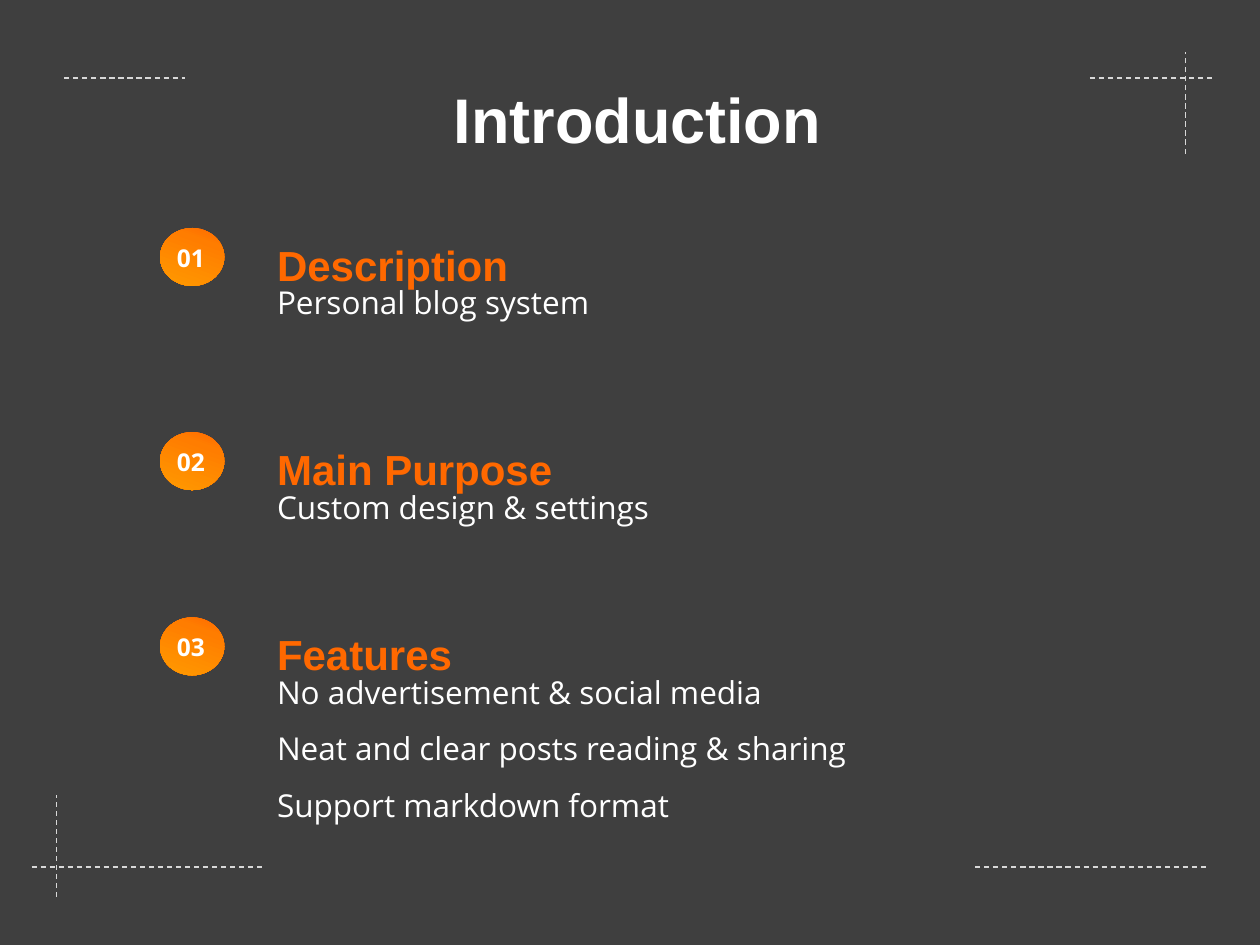
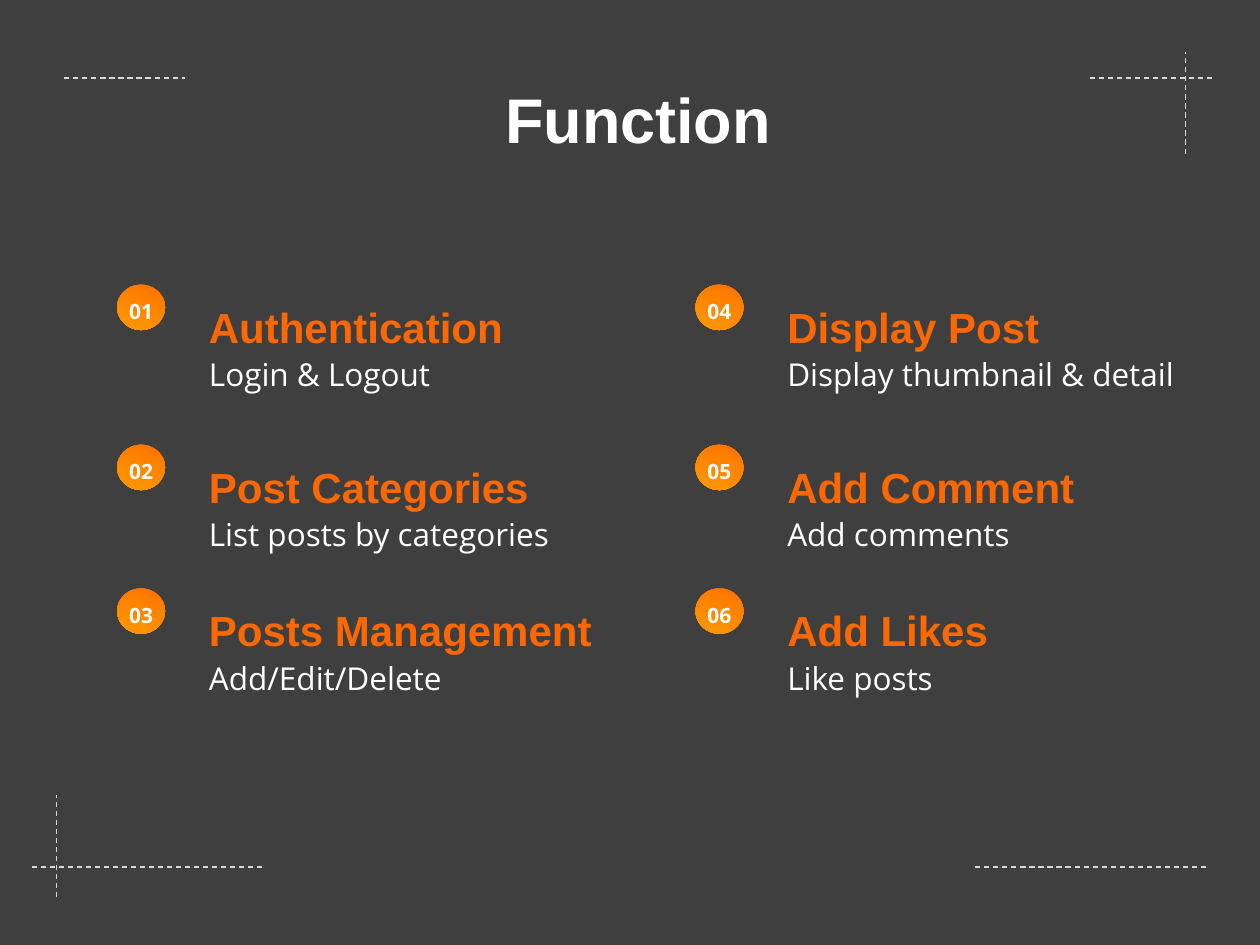
from copy import deepcopy
from dataclasses import dataclass

from lxml import etree
from pptx import Presentation
from pptx.dml.color import RGBColor
from pptx.enum.dml import MSO_LINE
from pptx.enum.shapes import MSO_CONNECTOR, MSO_SHAPE
from pptx.enum.text import MSO_ANCHOR, PP_ALIGN
from pptx.oxml.ns import qn
from pptx.util import Inches, Pt

STRAIGHT = MSO_CONNECTOR.STRAIGHT
OVAL = MSO_SHAPE.OVAL
DASH = MSO_LINE.DASH
LEFT, CENTER = PP_ALIGN.LEFT, PP_ALIGN.CENTER
TOP, MIDDLE = MSO_ANCHOR.TOP, MSO_ANCHOR.MIDDLE


@dataclass(frozen=True)
class Theme:
    """Colours, fonts and type sizes shared by all slides."""
    background: str = "3F3F3F"
    text: str = "FFFFFF"
    accent: str = "FF6800"
    guide: str = "D8D8D8"
    badge_stops: tuple = ((0, "FF6800"), (0.25, "FF7D00"), (1, "FF9A00"))
    badge_angle: int = 110
    heading_font: str = "Arial"
    body_font: str = "Open Sans"
    title_size: int = 36
    heading_size: int = 24
    body_size: int = 18
    guide_width: float = 0.75


@dataclass(frozen=True)
class ItemStyle:
    """Sizes and offsets of an item, measured from its badge corner."""
    badge: tuple
    number_offset: tuple
    number_box: tuple
    number_size: int
    text_left: float
    heading_top: float
    heading_height: float
    body_top: float


THEME = Theme()
LARGE_ITEM = ItemStyle((0.51, 0.46), (-0.02, 0.07), (0.53, 0.34), 14,
                       0.83, -0.16, 0.55, 0.24)
SMALL_ITEM = ItemStyle((0.38, 0.36), (-0.01, 0.06), (0.4, 0.27), 12,
                       0.63, -0.12, 0.43, 0.36)

GUIDES = (
    (0.25, 6.88, 2.08, 6.88),
    (0.45, 7.12, 0.45, 6.31),
    (8.65, 0.62, 9.62, 0.62),
    (9.41, 1.22, 9.41, 0.41),
    (7.74, 6.88, 9.57, 6.88),
    (0.51, 0.62, 1.47, 0.62),
)

INTRODUCTION_LEFT = 1.27
INTRODUCTION_WIDTHS = (5.05, 5.92)
INTRODUCTION_ITEMS = (
    (1.81, 0.75, "Description", ("Personal blog system",)),
    (3.43, 0.75, "Main Purpose", ("Custom design & settings",)),
    (4.9, 1.29, "Features", ("No advertisement & social media",
                             "Neat and clear posts reading & sharing",
                             "Support markdown format")),
)

FUNCTION_COLUMNS = (0.93, 5.52)
FUNCTION_ROWS = (2.26, 3.53, 4.67)
FUNCTION_BODY_HEIGHT = 0.59
FUNCTION_ITEMS = (
    ("Authentication", 2.76, "Login & Logout", 2.92),
    ("Post Categories", 3.36, "List posts by categories", 3.23),
    ("Posts Management", 4.92, "Add/Edit/Delete", 2.39),
    ("Display Post", 2.54, "Display thumbnail & detail", 3.36),
    ("Add Comment", 2.76, "Add comments", 2.07),
    ("Add Likes", 1.95, "Like posts", 1.67),
)


def add_text(slide, box, lines, font, size, color, bold=False,
             align=LEFT, spacing=None, anchor=TOP, wrap=True):
    """Add a text box with one paragraph per line."""
    frame = slide.shapes.add_textbox(*map(Inches, box)).text_frame
    frame.word_wrap = wrap
    frame.vertical_anchor = anchor
    frame.text = "\n".join(lines)
    for paragraph in frame.paragraphs:
        paragraph.alignment = align
        paragraph.line_spacing = spacing
        paragraph.font.name = font
        paragraph.font.size = Pt(size)
        paragraph.font.bold = bold
        paragraph.font.color.rgb = RGBColor.from_string(color)


def add_guides(slide):
    """Draw the dashed corner lines."""
    for ends in GUIDES:
        guide = slide.shapes.add_connector(STRAIGHT, *map(Inches, ends))
        guide.line.color.rgb = RGBColor.from_string(THEME.guide)
        guide.line.width = Pt(THEME.guide_width)
        guide.line.dash_style = DASH
        etree.SubElement(guide._element.spPr, qn("a:effectLst"))


def add_base_slide(presentation, title, left, width):
    """Add a slide with the shared background, corner lines and title."""
    slide = presentation.slides.add_slide(presentation.slide_layouts[6])
    fill = slide.background.fill
    fill.solid()
    fill.fore_color.rgb = RGBColor.from_string(THEME.background)
    add_guides(slide)
    add_text(slide, (left, 0.62, width, 0.72), (title,), THEME.heading_font,
             THEME.title_size, THEME.text, bold=True, align=CENTER,
             spacing=0.9, anchor=MIDDLE)
    return slide


def add_badge(slide, left, top, number, style):
    """Add a gradient oval with its two-digit number."""
    badge = slide.shapes.add_shape(
        OVAL, *map(Inches, (left, top, *style.badge)))
    badge.shadow.inherit = False
    badge.line.fill.background()
    badge.fill.gradient()
    badge.fill.gradient_angle = 360 - THEME.badge_angle
    stop_list = badge._element.spPr.find(".//" + qn("a:gsLst"))
    stop_list.append(deepcopy(stop_list[0]))
    for stop, (position, color) in zip(badge.fill.gradient_stops,
                                       THEME.badge_stops):
        stop.position = position
        stop.color.rgb = RGBColor.from_string(color)
    shift_x, shift_y = style.number_offset
    add_text(slide, (left + shift_x, top + shift_y, *style.number_box),
             (f"{number:02}",), THEME.body_font, style.number_size,
             THEME.text, bold=True, align=CENTER, wrap=False)


def add_item(slide, left, top, number, heading, heading_width,
             lines, body_width, body_height, style):
    """Add a numbered item with its heading and body lines."""
    add_badge(slide, left, top, number, style)
    text_left = left + style.text_left
    add_text(slide, (text_left, top + style.heading_top,
                     heading_width, style.heading_height),
             (heading,), THEME.heading_font, THEME.heading_size,
             THEME.accent, bold=True, spacing=1.5)
    add_text(slide, (text_left, top + style.body_top,
                     body_width, body_height),
             lines, THEME.body_font, THEME.body_size, THEME.text, spacing=1.5)


def build_introduction(presentation):
    """Build the slide with three items in one column."""
    slide = add_base_slide(presentation, "Introduction", 2.51, 5.1)
    heading_width, body_width = INTRODUCTION_WIDTHS
    for number, item in enumerate(INTRODUCTION_ITEMS, 1):
        top, body_height, heading, lines = item
        add_item(slide, INTRODUCTION_LEFT, top, number, heading,
                 heading_width, lines, body_width, body_height, LARGE_ITEM)


def build_function(presentation):
    """Build the slide with six items in two columns."""
    slide = add_base_slide(presentation, "Function", 2.28, 5.57)
    for index, item in enumerate(FUNCTION_ITEMS):
        column, row = divmod(index, len(FUNCTION_ROWS))
        heading, heading_width, line, body_width = item
        add_item(slide, FUNCTION_COLUMNS[column], FUNCTION_ROWS[row],
                 index + 1, heading, heading_width, (line,), body_width,
                 FUNCTION_BODY_HEIGHT, SMALL_ITEM)


def main():
    """Build and save the presentation."""
    presentation = Presentation()
    presentation.slide_width = Inches(10)
    presentation.slide_height = Inches(7.5)
    build_introduction(presentation)
    build_function(presentation)
    presentation.save("out.pptx")


if __name__ == "__main__":
    main()
